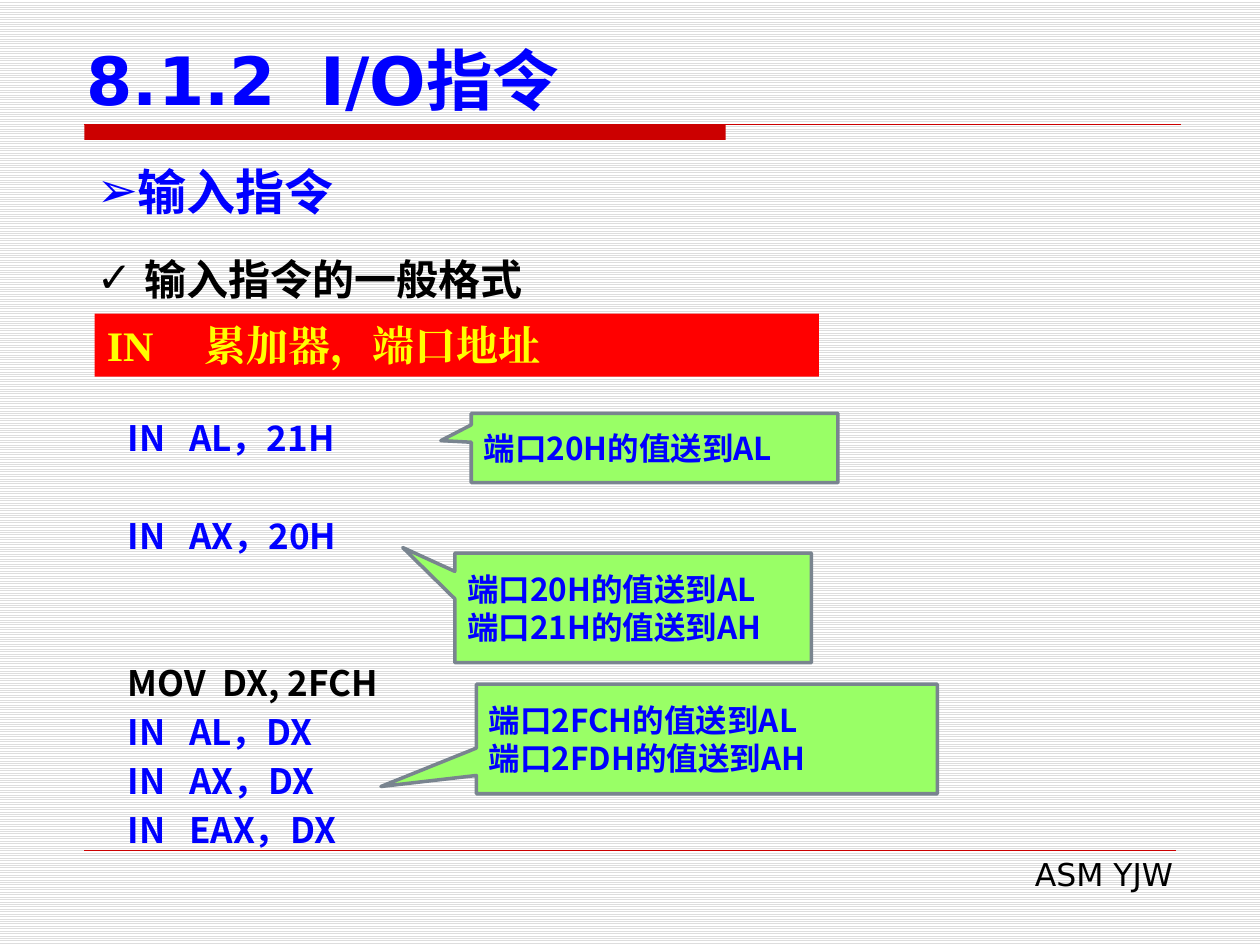
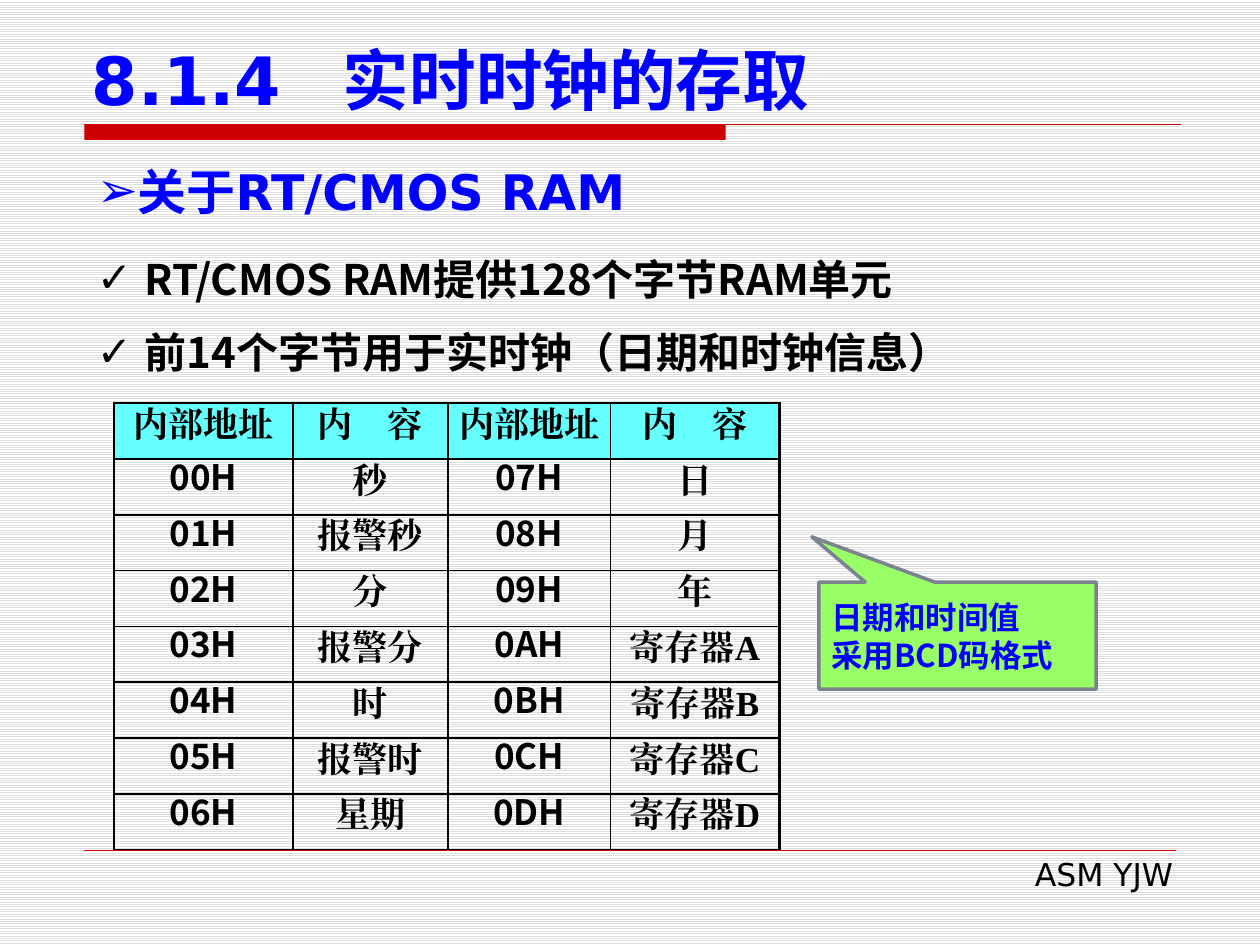
"""Build two assembly-language slides on I/O instructions and the real-time clock."""
from dataclasses import dataclass

from lxml import etree
from pptx import Presentation
from pptx.dml.color import RGBColor
from pptx.enum.dml import MSO_PATTERN
from pptx.enum.shapes import MSO_CONNECTOR, MSO_SHAPE
from pptx.enum.text import MSO_ANCHOR, PP_ALIGN
from pptx.oxml.ns import qn
from pptx.util import Pt

LEFT, CENTER, RIGHT = PP_ALIGN.LEFT, PP_ALIGN.CENTER, PP_ALIGN.RIGHT
TOP, MIDDLE, BOTTOM = MSO_ANCHOR.TOP, MSO_ANCHOR.MIDDLE, MSO_ANCHOR.BOTTOM
RECTANGLE, CALLOUT = MSO_SHAPE.RECTANGLE, MSO_SHAPE.RECTANGULAR_CALLOUT
STRAIGHT = MSO_CONNECTOR.STRAIGHT
STRIPES = MSO_PATTERN.LIGHT_HORIZONTAL


@dataclass(frozen=True)
class Theme:
    """Colours, fonts and type sizes of the deck."""

    blue: str = "0000FF"
    black: str = "000000"
    white: str = "FFFFFF"
    stripe: str = "DDDDDD"
    band: str = "CC0000"
    red: str = "FF0000"
    yellow: str = "FFFF00"
    green: str = "99FF66"
    callout_edge: str = "79848F"
    cyan: str = "66FFFF"
    sans: str = "DejaVu Sans"
    cjk: str = "Noto Sans CJK SC"
    serif: str = "Times New Roman"
    title: int = 38
    topic: int = 28
    point: int = 24
    code: int = 20
    note: int = 18


THEME = Theme()
MARGIN = 48.24


@dataclass(frozen=True)
class Style:
    """How the paragraphs of one text are set."""

    size: int
    font: str
    color: str
    bold: bool = True
    align: int = LEFT
    line: float = 0
    before: float = 0
    bullet: str = ""
    hang: float = 0
    tabs: tuple = ()


TITLE = Style(THEME.title, THEME.sans, THEME.blue)
FOOTER = Style(THEME.note, THEME.sans, THEME.black, bold=False, align=RIGHT)
TOPIC = Style(THEME.topic, THEME.sans, THEME.blue, bullet="➢")
POINT = Style(THEME.point, THEME.cjk, THEME.black, line=36, before=6, bullet="✓", hang=27.36)
SYNTAX = Style(THEME.point, THEME.serif, THEME.yellow, tabs=(56,))
CODE = Style(THEME.code, THEME.cjk, THEME.blue, line=28, tabs=(35, 54))
NOTE = Style(THEME.note, THEME.cjk, THEME.blue)
NAME_CELL = Style(THEME.code, THEME.serif, THEME.black, align=CENTER, line=15.6)
ADDRESS_CELL = Style(THEME.code, THEME.cjk, THEME.black, align=CENTER, line=15.6)

CLOCK_ROWS = [
    ("内部地址", "内　容", "内部地址", "内　容"),
    ("00H", "秒", "07H", "日"),
    ("01H", "报警秒", "08H", "月"),
    ("02H", "分", "09H", "年"),
    ("03H", "报警分", "0AH", "寄存器A"),
    ("04H", "时", "0BH", "寄存器B"),
    ("05H", "报警时", "0CH", "寄存器C"),
    ("06H", "星期", "0DH", "寄存器D"),
]


def rgb(color):
    """Turn a hex string into a colour."""
    return RGBColor.from_string(color)


def points(*lengths):
    """Turn numbers into lengths in points."""
    return [Pt(length) for length in lengths]


def format_span(span, style):
    """Set the font of a run for Latin and East Asian letters."""
    font = span.font
    font.size, font.bold, font.name = Pt(style.size), style.bold, style.font
    font.color.rgb = rgb(style.color)
    east_asian = etree.SubElement(span._r.get_or_add_rPr(), qn("a:ea"))
    east_asian.set("typeface", style.font)


def format_para(para, style):
    """Set spacing, bullet, tab stops and runs of a paragraph."""
    para.alignment = style.align
    if style.line:
        para.line_spacing = Pt(style.line)
    para.space_before = Pt(style.before)
    settings = para._p.get_or_add_pPr()
    if style.bullet:
        settings.set("marL", str(Pt(style.hang)))
        settings.set("indent", str(-Pt(style.hang)))
        etree.SubElement(settings, qn("a:buFont")).set("typeface", THEME.sans)
        etree.SubElement(settings, qn("a:buChar")).set("char", style.bullet)
    if style.tabs:
        stops = etree.SubElement(settings, qn("a:tabLst"))
        for position in style.tabs:
            etree.SubElement(stops, qn("a:tab"), pos=str(Pt(position)), algn="l")
    for span in para.runs:
        format_span(span, style)


def write(frame, text, style, anchor=TOP):
    """Fill a text frame, one paragraph for each line."""
    frame.word_wrap = True
    frame.vertical_anchor = anchor
    frame.text = text
    for para in frame.paragraphs:
        format_para(para, style)


def add_text(page, place, text, style, anchor=TOP):
    """Add a text box."""
    box = page.shapes.add_textbox(*points(*place))
    write(box.text_frame, text, style, anchor)
    return box


def add_block(page, kind, place, fill):
    """Add a filled shape without outline or shadow."""
    block = page.shapes.add_shape(kind, *points(*place))
    block.shadow.inherit = False
    block.fill.solid()
    block.fill.fore_color.rgb = rgb(fill)
    block.line.fill.background()
    return block


def add_rule(page, start, end, y, width):
    """Add a thin horizontal line."""
    rule = page.shapes.add_connector(STRAIGHT, *points(start, y, end, y))
    rule.line.color.rgb = rgb(THEME.band)
    rule.line.width = Pt(width)
    etree.SubElement(rule._element.spPr, qn("a:effectLst"))


def add_callout(page, place, tip, text):
    """Add a green speech callout whose tip is given relative to its centre."""
    callout = add_block(page, CALLOUT, place, THEME.green)
    callout.line.color.rgb = rgb(THEME.callout_edge)
    callout.line.width = Pt(2)
    callout.adjustments[0], callout.adjustments[1] = tip
    write(callout.text_frame, text, NOTE, MIDDLE)


def add_page(deck, title_place, title, title_tab, topic):
    """Add a page with striped background, bands, footer, title and topic."""
    page = deck.slides.add_slide(deck.slide_layouts[6])
    fill = page.background.fill
    fill.patterned()
    fill.pattern = STRIPES
    fill.fore_color.rgb = rgb(THEME.stripe)
    fill.back_color.rgb = rgb(THEME.white)
    add_block(page, RECTANGLE, (MARGIN, 71.28, 366.5, 8.64), THEME.band)
    add_rule(page, MARGIN, 674.64, 71.28, 0.75)
    add_rule(page, MARGIN, 671.76, 486, 0.25)
    add_text(page, (275, 485.3, 402.5, 28.8), "ASM YJW", FOOTER)
    heading = add_text(page, title_place, title, TITLE, BOTTOM)
    stops = etree.SubElement(heading.text_frame.paragraphs[0]._p.get_or_add_pPr(), qn("a:tabLst"))
    etree.SubElement(stops, qn("a:tab"), pos=str(Pt(title_tab)), algn="l")
    add_text(page, (MARGIN, 88.56, 623.5, 41), topic, TOPIC)
    return page


def set_borders(cell, widths):
    """Draw the left, right, top and bottom borders of a cell."""
    settings = cell._tc.get_or_add_tcPr()
    for side, width in zip("LRTB", widths):
        edge = etree.SubElement(settings, qn(f"a:ln{side}"), w=str(Pt(width)))
        paint = etree.SubElement(edge, qn("a:solidFill"))
        etree.SubElement(paint, qn("a:srgbClr"), val=THEME.black)


def add_clock_table(page, place, column_widths):
    """Add the table of clock addresses and their contents."""
    table = page.shapes.add_table(len(CLOCK_ROWS), len(column_widths), *points(*place)).table
    table.first_row = table.horz_banding = False
    for column, width in zip(table.columns, column_widths):
        column.width = Pt(width)
    last = len(column_widths) - 1
    for r, texts in enumerate(CLOCK_ROWS):
        table.rows[r].height = Pt(place[3] / len(CLOCK_ROWS))
        for c, text in enumerate(texts):
            cell = table.cell(r, c)
            cell.margin_left = cell.margin_right = Pt(1.44)
            cell.margin_top = cell.margin_bottom = 0
            cell.vertical_anchor = MIDDLE
            heavy = (c == 0, c == last, r <= 1, r == 0)
            set_borders(cell, [1.5 if edge else 1 for edge in heavy])
            if r == 0:
                cell.fill.solid()
                cell.fill.fore_color.rgb = rgb(THEME.cyan)
            else:
                cell.fill.background()
            write(cell.text_frame, text, ADDRESS_CELL if r and c % 2 == 0 else NAME_CELL, MIDDLE)


def build_input_page(deck):
    """Build the page on the input instruction."""
    page = add_page(deck, (42.5, 20.2, 652.3, 51.1), "8.1.2\tI/O指令", 133.5, "输入指令")
    add_text(page, (MARGIN, 133.9, 623.5, 38.9), "输入指令的一般格式", POINT)
    syntax = add_block(page, RECTANGLE, (54, 179.3, 414, 36), THEME.red)
    write(syntax.text_frame, "IN\t累加器，端口地址", SYNTAX)

    code = ["IN\tAL，21H", "IN\tAX，20H", "MOV\tDX, 2FCH", "IN\tAL，DX", "IN\tAX，DX", "IN\tEAX，DX"]
    listing = add_text(page, (66, 230.4, 294, 262), "\n".join(code), CODE)
    paras = listing.text_frame.paragraphs
    paras[1].space_before = Pt(CODE.line)
    paras[2].space_before = Pt(2 * CODE.line)
    for span in paras[2].runs:
        span.font.color.rgb = rgb(THEME.black)

    add_callout(page, (269.3, 236.2, 209.5, 39.6), (-0.583, -0.107), "端口20H的值送到AL")
    add_callout(page, (259.9, 316.1, 203.8, 62.6), (-0.646, -0.551),
                "端口20H的值送到AL\n端口21H的值送到AH")
    add_callout(page, (272.2, 391, 263.5, 62.6), (-0.707, 0.434),
                "端口2FCH的值送到AL\n端口2FDH的值送到AH")


def build_clock_page(deck):
    """Build the page on the real-time clock."""
    page = add_page(deck, (45.4, 23.8, 630, 47.5), "8.1.4\t实时时钟的存取", 143.5, "关于RT/CMOS RAM")
    add_text(page, (MARGIN, 133.9, 623.5, 85.7),
             "RT/CMOS RAM提供128个字节RAM单元\n前14个字节用于实时钟（日期和时钟信息）", POINT)
    add_clock_table(page, (65.2, 230.4, 380.2, 255.2), (102.2, 88.6, 92.9, 96.5))
    add_callout(page, (468, 332.6, 158.4, 61.2), (-0.526, -0.922), "日期和时间值\n采用BCD码格式")


def main():
    """Build and save the deck."""
    deck = Presentation()
    deck.slide_width, deck.slide_height = points(720, 540)
    build_input_page(deck)
    build_clock_page(deck)
    deck.save("out.pptx")


if __name__ == "__main__":
    main()
